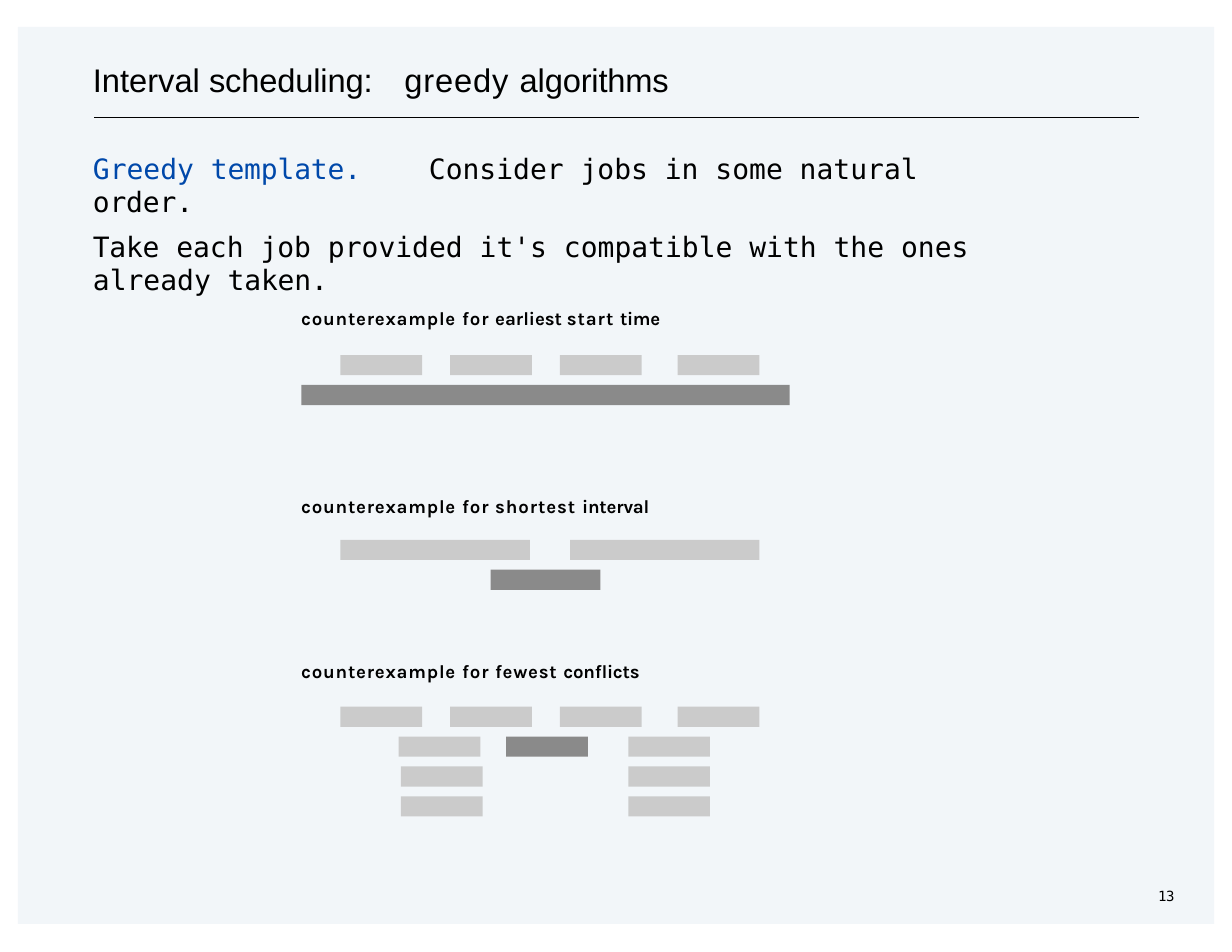
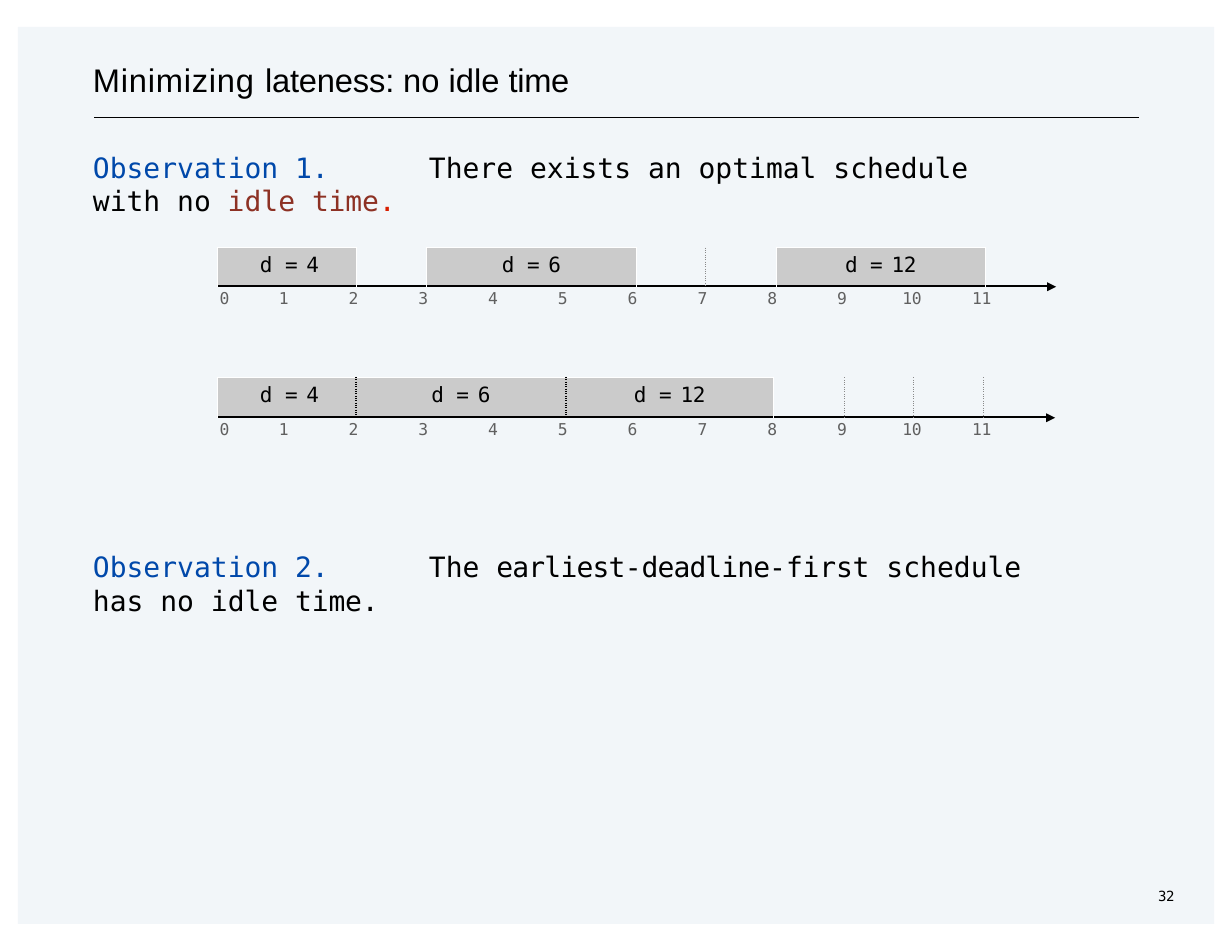
"""Build two slides on greedy scheduling."""
import lxml.etree
import pptx
import pptx.dml.color
import pptx.enum.shapes
import pptx.enum.text
import pptx.oxml.ns
import pptx.util

Inches = pptx.util.Inches
Pt = pptx.util.Pt
Shape = pptx.enum.shapes.MSO_SHAPE
Align = pptx.enum.text.PP_ALIGN
qn = pptx.oxml.ns.qn


class Theme:
    """Colours and type styles of the deck."""
    black, white, panel = "000000", "FFFFFF", "005493"
    blue, brown, red = "0048AA", "8D3124", "D81E00"
    light, dark, grey = "CBCBCB", "8A8A8A", "606060"
    mono = "DejaVu Sans Mono"
    title = {"name": "Arial", "size": Pt(21)}
    body = {"name": mono, "size": Pt(18)}
    label = {"name": "Karla", "size": Pt(12), "bold": True}
    job = {"name": mono, "size": Pt(13.5)}
    tick = {"name": mono, "size": Pt(10.5)}
    page = {"name": mono, "size": Pt(9)}
    edges = {"white": (white, 0.75, "solid"), "dots": (dark, 0.75, "dot"),
             "join": (black, 1.5, "sysDot"), "axis": (black, 1.5, "solid")}


def rgb(code):
    """Turn a hex code into a colour."""
    return pptx.dml.color.RGBColor.from_string(code)


def put(thing, values):
    """Set each named value on a thing."""
    for name, value in values.items():
        setattr(thing, name, value)


def node(base, tag, **values):
    """Add a drawing element with its attributes."""
    return lxml.etree.SubElement(base, qn("a:" + tag), values)


def fill_in(para, runs, style):
    """Write runs of (text, spacing, colour) into a paragraph."""
    for words, gap, *tint in runs:
        run = para.add_run()
        run.text = words
        put(run.font, style)
        run.font.color.rgb = rgb(tint[0] if tint else Theme.black)
        run.font._element.set("spc", str(round(gap * 100)))


def text(slide, box, paras, style, tab=None, space=0):
    """Place a text box of one or more paragraphs."""
    frame = slide.shapes.add_textbox(*map(Inches, box)).text_frame
    put(frame, {"word_wrap": True, "margin_left": Inches(0.01), "margin_right": 0,
                "margin_top": Inches(0.01), "margin_bottom": 0})
    for i, runs in enumerate(paras):
        para = frame.add_paragraph() if i else frame.paragraphs[0]
        if i:
            para.space_before = Pt(space)
        if tab:
            stops = node(para._p.get_or_add_pPr(), "tabLst")
            node(stops, "tab", pos=str(Inches(tab)), algn="l")
        fill_in(para, runs, style)


def block(slide, kind, box, tint):
    """Place a plain filled shape."""
    shape = slide.shapes.add_shape(kind, *map(Inches, box))
    shape.shadow.inherit = False
    shape.fill.solid()
    shape.fill.fore_color.rgb = rgb(tint)
    shape.line.fill.background()
    return shape


def base(deck, title, page, tab=None):
    """Start a slide with its panel, title, rule and page number."""
    slide = deck.slides.add_slide(deck.slide_layouts[6])
    panel = block(slide, Shape.RECTANGLE, (0.16, 0.24, 10.68, 8.01), Theme.panel)
    tint = panel._element.spPr.find(qn("a:solidFill"))[0]
    node(tint, "alpha", val="5000")
    rule = slide.shapes.add_connector(
        pptx.enum.shapes.MSO_CONNECTOR.STRAIGHT,
        *map(Inches, (0.84, 1.05, 10.17, 1.05)))
    put(rule.line, {"width": Pt(0.75)})
    rule.line.color.rgb = rgb(Theme.black)
    node(rule._element.spPr, "effectLst")
    text(slide, (0.82, 0.52, 9.3, 0.38), [title], Theme.title, tab)
    text(slide, (10.33, 7.91, 0.23, 0.18), [[(page, -0.2)]], Theme.page)
    return slide


def sample(slide, box, label, drop, rows):
    """Draw a label over rows of (offset, width, colour) bars."""
    left, top, wide, high = box
    text(slide, (left, top, wide, 0.23), [label], Theme.label)
    for i, row in enumerate(rows):
        for x, width, tint in row:
            block(slide, Shape.RECTANGLE,
                  (left + x, top + drop + i * 0.8 / 3, width, high), tint)


def edge(cell, place, tag, name):
    """Draw one border of a cell, or none."""
    props = cell._tc.get_or_add_tcPr()
    line = node(props, tag)
    props.insert(place, line)
    if name is None:
        node(line, "noFill")
        return
    tint, width, dash = Theme.edges[name]
    line.set("w", str(Pt(width)))
    node(node(line, "solidFill"), "srgbClr", val=tint)
    node(line, "prstDash", val=dash)


def axis(slide, box, jobs, sides):
    """Draw a schedule of (width, due) cells over a numbered time line."""
    left, top, wide, high = box
    grid = slide.shapes.add_table(1, len(jobs), *map(Inches, box)).table
    put(grid, {"first_row": False, "horz_banding": False})
    grid.rows[0].height = Inches(high)
    for i, (width, due) in enumerate(jobs):
        grid.columns[i].width = Inches(width)
        cell = grid.cell(0, i)
        put(cell, {"margin_left": 0 if i else Inches(0.38), "margin_right": 0,
                   "margin_top": Inches(0.05), "margin_bottom": 0})
        para = cell.text_frame.paragraphs[0]
        if due:
            cell.fill.solid()
            cell.fill.fore_color.rgb = rgb(Theme.light)
            para.alignment = Align.CENTER if i else Align.LEFT
            gap = -0.5 if len(due) == 1 else -0.2
            fill_in(para, [("d ", 0), ("= ", -2.4), (due, gap)], Theme.job)
        else:
            cell.fill.background()
            node(para._p, "endParaRPr", sz="1050")
        marks = {"lnL": sides[i], "lnR": sides[i + 1],
                 "lnT": "white" if due else None, "lnB": "axis"}
        for place, (tag, name) in enumerate(marks.items()):
            edge(cell, place, tag, name)
    for i in range(12):
        x = left + 0.54 + (i - 1) * 0.623 if i else left + 0.01
        pair = i > 9
        text(slide, (x - 0.04 * pair, top + high + 0.01, 0.21 if pair else 0.12, 0.2),
             [[(str(i), -0.2 if pair else -0.5, Theme.grey)]], Theme.tick)
    head = block(slide, Shape.ISOSCELES_TRIANGLE,
                 (left + wide - 0.01, top + high - 0.03, 0.08, 0.08), Theme.black)
    head.rotation = 90


def greedy(deck):
    """Build the slide of greedy counterexamples."""
    slide = base(deck, [("Interval ", 0), ("scheduling:\t", -0.1), ("greedy ", 0.6),
                        ("algorithms", -0.1)], "13", 2.78)
    text(slide, (0.82, 1.34, 8.24, 1.3), [
        [("Greedy ", 0, Theme.blue), ("template.\t", -0.1, Theme.blue),
         ("Consider jobs in some natural ", 0), ("order.", -0.1)],
        [("Take", -0.2), (" each job provided it's compatible with the ones already ", 0),
         ("taken.", -0.1)]], Theme.body, 3, 7)
    four = [(x, 0.73, Theme.light) for x in (0.36, 1.34, 2.32, 3.37)]
    two = [(x, 0.73, Theme.light) for x in (0.9, 2.93)]
    start = ("counterexample ", 0.5)
    sample(slide, (2.68, 2.73, 4.4, 0.18),
           [start, ("for ", 0.6), ("earliest ", 0), ("start ", 0.6), ("time", -0.2)],
           0.44, [four, [(0.01, 4.36, Theme.dark)]])
    sample(slide, (2.68, 4.41, 4.4, 0.18),
           [start, ("for shortest ", 0.6), ("interval", -0.1)], 0.41,
           [[(x, 1.69, Theme.light) for x in (0.36, 2.41)], [(1.7, 0.98, Theme.dark)]])
    sample(slide, (2.68, 5.88, 4.4, 0.18),
           [start, ("for", 0.6), (" fewest ", 0.5), ("conflicts", -0.1)], 0.43,
           [four, [(0.88, 0.73, Theme.light), (1.84, 0.73, Theme.dark), two[1]], two, two])


def late(deck):
    """Build the slide on schedules with no idle time."""
    slide = base(deck, [("Minimizing ", 0.5), ("lateness: ", -0.1), ("no idle ", 0),
                        ("time", -0.2)], "32")
    notes = {
        1.33: ("1.\t", [("There exists an optimal schedule with no ", 0),
                        ("idle ", 0, Theme.brown), ("time", -0.1, Theme.brown),
                        (".", -0.1, Theme.red)]),
        4.9: ("2.\t", [("The ", 0), ("earliest-", -0.5), ("deadline-", -0.6),
                       ("first", -0.1), (" schedule has no idle ", 0), ("time.", -0.1)])}
    for top, (count, runs) in notes.items():
        lead = [("Observation ", 0, Theme.blue), (count, -0.2, Theme.blue)]
        text(slide, (0.82, top, 8.3, 0.65), [lead + runs], Theme.body, 3)
    axis(slide, (1.94, 2.21, 7.42, 0.34),
         [(1.24, "4"), (0.63, ""), (1.87, "6"), (0.62, ""), (0.63, ""),
          (1.87, "12"), (0.57, "")],
         ["white"] * 4 + ["dots", "white", "white", None])
    axis(slide, (1.94, 3.37, 7.41, 0.35),
         [(1.24, "4"), (1.87, "6"), (1.86, "12"), (0.63, ""), (0.62, ""),
          (0.62, ""), (0.56, "")],
         ["white", "join", "join", "white"] + ["dots"] * 3 + [None])


def main():
    """Build and save the deck."""
    deck = pptx.Presentation()
    put(deck, {"slide_width": Inches(11), "slide_height": Inches(8.5)})
    greedy(deck)
    late(deck)
    deck.save("out.pptx")


if __name__ == "__main__":
    main()
